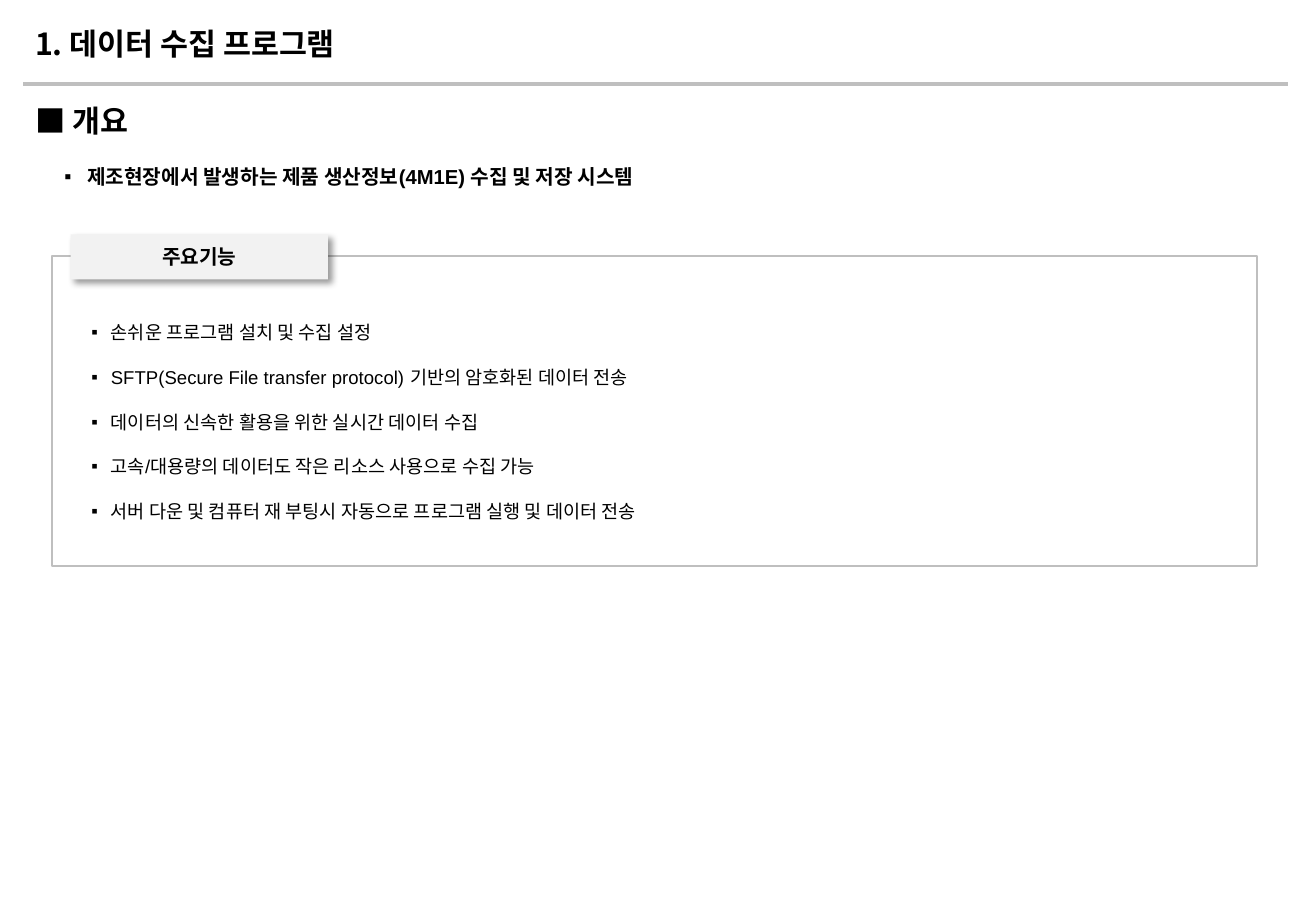
from lxml.etree import SubElement
from pptx import Presentation
from pptx.dml.color import RGBColor
from pptx.enum.shapes import MSO_CONNECTOR, MSO_SHAPE
from pptx.enum.text import MSO_ANCHOR, PP_ALIGN
from pptx.oxml.ns import qn
from pptx.util import Pt

COLORS = {"text": "000000", "rule": "BFBFBF", "tab": "F2F2F2", "shadow": "000000"}
LATIN_FONT = "Arial"
KOREAN_FONT = "Noto Sans CJK KR"
FEATURES = [
    "손쉬운 프로그램 설치 및 수집 설정",
    "SFTP(Secure File transfer protocol) 기반의 암호화된 데이터 전송",
    "데이터의 신속한 활용을 위한 실시간 데이터 수집",
    "고속/대용량의 데이터도 작은 리소스 사용으로 수집 가능",
    "서버 다운 및 컴퓨터 재 부팅시 자동으로 프로그램 실행 및 데이터 전송",
]


def color(name):
    return RGBColor.from_string(COLORS[name])


def add_bullet(para, margin, hanging):
    properties = para._p.get_or_add_pPr()
    properties.set("marL", str(Pt(margin)))
    properties.set("indent", str(-Pt(hanging)))
    SubElement(properties, qn("a:buFont"), typeface=LATIN_FONT)
    SubElement(properties, qn("a:buChar"), char="▪")


def write_text(para, text, size=12, bold=False, font=LATIN_FONT,
               align=PP_ALIGN.LEFT, spacing=None, bullet=None):
    para.alignment = align
    if spacing:
        para.line_spacing = Pt(spacing)
    if bullet:
        add_bullet(para, *bullet)
    span = para.add_run()
    span.text = text
    span.font.size = Pt(size)
    span.font.bold = bold
    span.font.name = font
    span.font.color.rgb = color("text")
    if font == KOREAN_FONT:
        SubElement(span._r.get_or_add_rPr(), qn("a:ea"), typeface=font)


def add_text(page, bounds, lines, wrap=True, anchor=MSO_ANCHOR.TOP, inset=7.2, **style):
    box = page.shapes.add_textbox(*map(Pt, bounds))
    frame = box.text_frame
    frame.word_wrap = wrap
    frame.vertical_anchor = anchor
    frame.margin_left = Pt(inset)
    for index, line in enumerate(lines):
        para = frame.add_paragraph() if index else frame.paragraphs[0]
        write_text(para, line, **style)


def add_rule(page, left, right, top):
    rule = page.shapes.add_connector(
        MSO_CONNECTOR.STRAIGHT, Pt(left), Pt(top), Pt(right), Pt(top))
    rule.line.color.rgb = color("rule")
    rule.line.width = Pt(2.25)
    SubElement(rule._element.spPr, qn("a:effectLst"))


def add_frame(page, bounds):
    box = page.shapes.add_shape(MSO_SHAPE.RECTANGLE, *map(Pt, bounds))
    box.shadow.inherit = False
    box.fill.background()
    box.line.color.rgb = color("rule")
    box.line.width = Pt(1)


def add_shadow(shape):
    shape.shadow.inherit = False
    effects = shape._element.spPr.find(qn("a:effectLst"))
    shadow = SubElement(effects, qn("a:outerShdw"), blurRad=str(Pt(4)),
                        dist=str(Pt(3)), dir="2700000", algn="tl", rotWithShape="0")
    tint = SubElement(shadow, qn("a:srgbClr"), val=COLORS["shadow"])
    SubElement(tint, qn("a:alpha"), val="40000")


def add_tab(page, bounds, text):
    tab = page.shapes.add_shape(MSO_SHAPE.SNIP_1_RECTANGLE, *map(Pt, bounds))
    tab.adjustments[0] = 0
    tab.fill.solid()
    tab.fill.fore_color.rgb = color("tab")
    tab.line.fill.background()
    add_shadow(tab)
    tab.text_frame.vertical_anchor = MSO_ANCHOR.MIDDLE
    write_text(tab.text_frame.paragraphs[0], text, bold=True, align=PP_ALIGN.CENTER)


def main():
    deck = Presentation()
    deck.slide_width, deck.slide_height = Pt(780), Pt(540)
    page = deck.slides.add_slide(deck.slide_layouts[6])

    heading = {"wrap": False, "anchor": MSO_ANCHOR.MIDDLE, "size": 18, "bold": True}
    add_rule(page, 13.7, 763.2, 49.7)
    add_text(page, (13.7, 11.5, 206.6, 28.8), ["1. 데이터 수집 프로그램"],
             font=KOREAN_FONT, **heading)
    add_text(page, (13.7, 56.9, 75.6, 28.8), ["■ 개요"], **heading)
    add_text(page, (31, 89.3, 714.2, 23.8),
             ["제조현장에서 발생하는 제품 생산정보(4M1E) 수집 및 저장 시스템"],
             bold=True, spacing=18.8, bullet=(13.5, 13.5))

    add_frame(page, (31, 151.9, 714.2, 183.6))
    add_text(page, (43.2, 173.5, 596.9, 140.4), FEATURES,
             inset=0, size=11, spacing=26.5, bullet=(22.5, 11.5))
    add_tab(page, (41.8, 139, 152.6, 26.6), "주요기능")

    deck.save("out.pptx")


if __name__ == "__main__":
    main()
